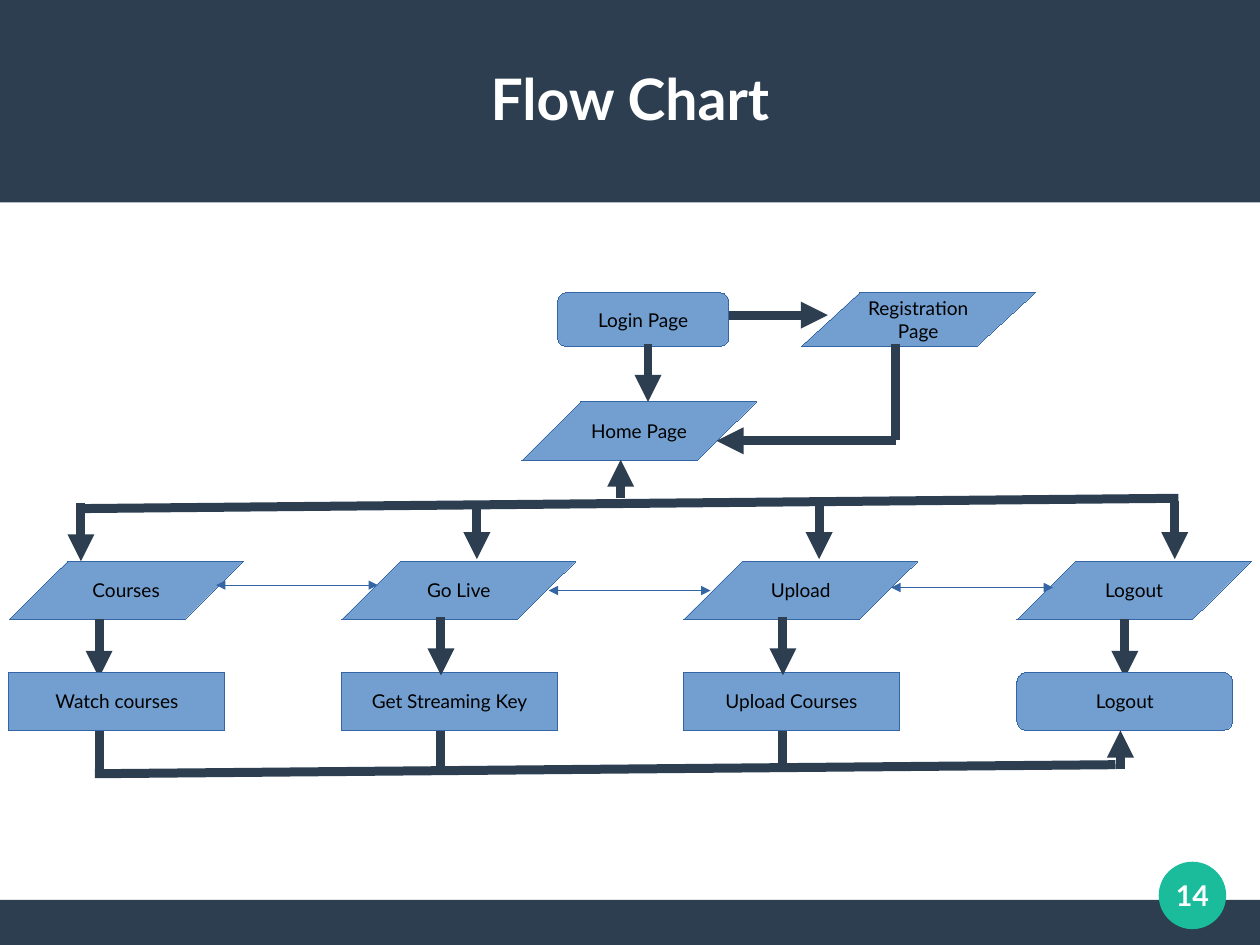
from dataclasses import dataclass

import lxml.etree
import pptx
import pptx.dml.color
import pptx.enum.shapes
import pptx.enum.text
import pptx.oxml.ns
import pptx.shapes.autoshape
import pptx.slide
import pptx.text.text
import pptx.util

Pt = pptx.util.Pt
RGB = pptx.dml.color.RGBColor
Kind = pptx.enum.shapes.MSO_SHAPE

NAVY = RGB(0x2C, 0x3E, 0x50)
GREEN = RGB(0x1A, 0xBC, 0x9C)
SKY = RGB(0x72, 0x9F, 0xCF)
EDGE = RGB(0x34, 0x65, 0xA4)
WHITE = RGB(0xFF, 0xFF, 0xFF)
BLACK = RGB(0x00, 0x00, 0x00)

WIDE, TALL = 793.7, 595.28
THICK = 5.67
HAIR = 0.01
HIGH = 36.8
SLANT = 147.6
STEP = 136
PAGE_TOP, STEP_TOP = 353.5, 423.4
BUS = 315.4
JOIN = 484.6


@dataclass
class Node:
    text: str
    left: float
    top: float
    width: float
    height: float
    kind: Kind


@dataclass
class Line:
    x1: float
    y1: float
    x2: float
    y2: float
    tail: bool = True
    head: bool = False
    color: RGB = NAVY
    width: float = THICK


@dataclass
class Branch:
    """One column: a page, its step, and the arrows that pass through them."""
    page: str
    step: str
    left: float
    drop: float
    stem: float
    kind: Kind = Kind.RECTANGLE
    over: bool = False
    bus: float = BUS


NODES = [
    Node("Login Page", 351.2, 184.3, 108, 34, Kind.ROUNDED_RECTANGLE),
    Node("Home Page", 328.8, 253.2, SLANT, HIGH, Kind.PARALLELOGRAM),
    Node("Registration\nPage", 504.6, 184.3, SLANT, 34, Kind.PARALLELOGRAM),
]

BRANCHES = [
    Branch("Courses", "Watch courses", 5.7, 51, 62.4, bus=316.8),
    Branch("Go Live", "Get Streaming Key", 215.2, 300.4, 277.8, over=True),
    Branch("Upload", "Upload Courses", 430.6, 516, 493.2, over=True),
    Branch("Logout", "Logout", 640.6, 740, 708.6, Kind.ROUNDED_RECTANGLE),
]

LINES = [
    Line(408.2, 216.7, 408.2, 253.2),
    Line(459.2, 198.5, 521.5, 198.5),
    Line(564, 216.7, 564, 277.2, tail=False),
    Line(564.5, 277.7, 451.4, 277.7),
    Line(51, 320.4, 742.3, 313.9, tail=False),
    Line(391, 313.9, 391, 289.6),
    Line(59.8, 487.4, 702.7, 481.7, tail=False),
    Line(705.8, JOIN, 705.8, 460.2),
]

LINKS = [
    Line(left, y, left + 102, y, head=True, color=EDGE, width=HAIR)
    for left, y in ((136.1, 368.6), (345.6, 372), (561.4, 370.1))
]


def write(frame: pptx.text.text.TextFrame, text: str, size: float,
          color: RGB, bold: bool = False) -> None:
    frame.text = text
    frame.vertical_anchor = pptx.enum.text.MSO_ANCHOR.MIDDLE
    for par in frame.paragraphs:
        par.alignment = pptx.enum.text.PP_ALIGN.CENTER
        for run in par.runs:
            run.font.name = "Lato"
            run.font.size = Pt(size)
            run.font.bold = bold
            run.font.color.rgb = color


def strip(frame: pptx.text.text.TextFrame) -> None:
    """Set all four insets to zero."""
    frame.margin_left = frame.margin_right = Pt(0)
    frame.margin_top = frame.margin_bottom = Pt(0)


def block(slide: pptx.slide.Slide, kind: Kind, left: float, top: float,
          width: float, height: float,
          fill: RGB) -> pptx.shapes.autoshape.Shape:
    """Add a filled shape with no outline."""
    shape = slide.shapes.add_shape(
        kind, Pt(left), Pt(top), Pt(width), Pt(height))
    shape.shadow.inherit = False
    shape.fill.solid()
    shape.fill.fore_color.rgb = fill
    shape.line.fill.background()
    return shape


def draw_node(slide: pptx.slide.Slide, node: Node) -> None:
    shape = block(slide, node.kind, node.left, node.top,
                  node.width, node.height, SKY)
    shape.line.color.rgb = EDGE
    shape.line.width = Pt(HAIR)
    if node.kind == Kind.PARALLELOGRAM:
        shape.adjustments[0] = 37.1 / node.height
    shape.text_frame.word_wrap = False
    write(shape.text_frame, node.text, 12, BLACK)


def draw_line(slide: pptx.slide.Slide, line: Line) -> None:
    wire = slide.shapes.add_connector(
        pptx.enum.shapes.MSO_CONNECTOR.STRAIGHT,
        Pt(line.x1), Pt(line.y1), Pt(line.x2), Pt(line.y2))
    wire.line.color.rgb = line.color
    wire.line.width = Pt(line.width)
    qn = pptx.oxml.ns.qn
    props = wire.element.spPr
    stroke = props.find(qn("a:ln"))
    for tag, shown in (("a:headEnd", line.head), ("a:tailEnd", line.tail)):
        if shown:
            lxml.etree.SubElement(stroke, qn(tag), type="triangle")
    lxml.etree.SubElement(props, qn("a:effectLst"))


def draw_branch(slide: pptx.slide.Slide, part: Branch) -> None:
    draw_node(slide, Node(part.page, part.left, PAGE_TOP, SLANT, HIGH,
                          Kind.PARALLELOGRAM))
    step = Node(part.step, part.left, STEP_TOP, STEP, HIGH, part.kind)
    if part.over:
        draw_node(slide, step)
    top = 388.6 if part.over else 390.2
    draw_line(slide, Line(part.stem, top, part.stem, top + HIGH))
    if not part.over:
        draw_node(slide, step)
    draw_line(slide, Line(part.drop, part.bus, part.drop, part.bus + HIGH))
    if part is not BRANCHES[-1]:
        draw_line(slide, Line(part.stem, STEP_TOP + HIGH, part.stem, JOIN,
                              tail=False))


def draw_frame(slide: pptx.slide.Slide) -> None:
    """Add the title band, the footer band and the page number."""
    block(slide, Kind.RECTANGLE, 0, 566.93, WIDE, 28.35, NAVY)
    block(slide, Kind.RECTANGLE, 0, 0, WIDE, 127.56, NAVY)
    badge = block(slide, Kind.OVAL, 729.9, 542.8, 42.5, 42.5, GREEN)
    strip(badge.text_frame)
    write(badge.text_frame, "14", 18, WHITE, True)
    title = slide.shapes.add_textbox(Pt(28.35), Pt(23.8), Pt(737), Pt(75.6))
    title.text_frame.word_wrap = True
    strip(title.text_frame)
    write(title.text_frame, "Flow Chart", 36, WHITE, True)


def main() -> None:
    deck = pptx.Presentation()
    deck.slide_width, deck.slide_height = Pt(WIDE), Pt(TALL)
    slide = deck.slides.add_slide(deck.slide_layouts[6])
    draw_frame(slide)
    for node in NODES:
        draw_node(slide, node)
    for part in BRANCHES:
        draw_branch(slide, part)
    for line in LINES + LINKS:
        draw_line(slide, line)
    deck.save("out.pptx")


if __name__ == "__main__":
    main()
